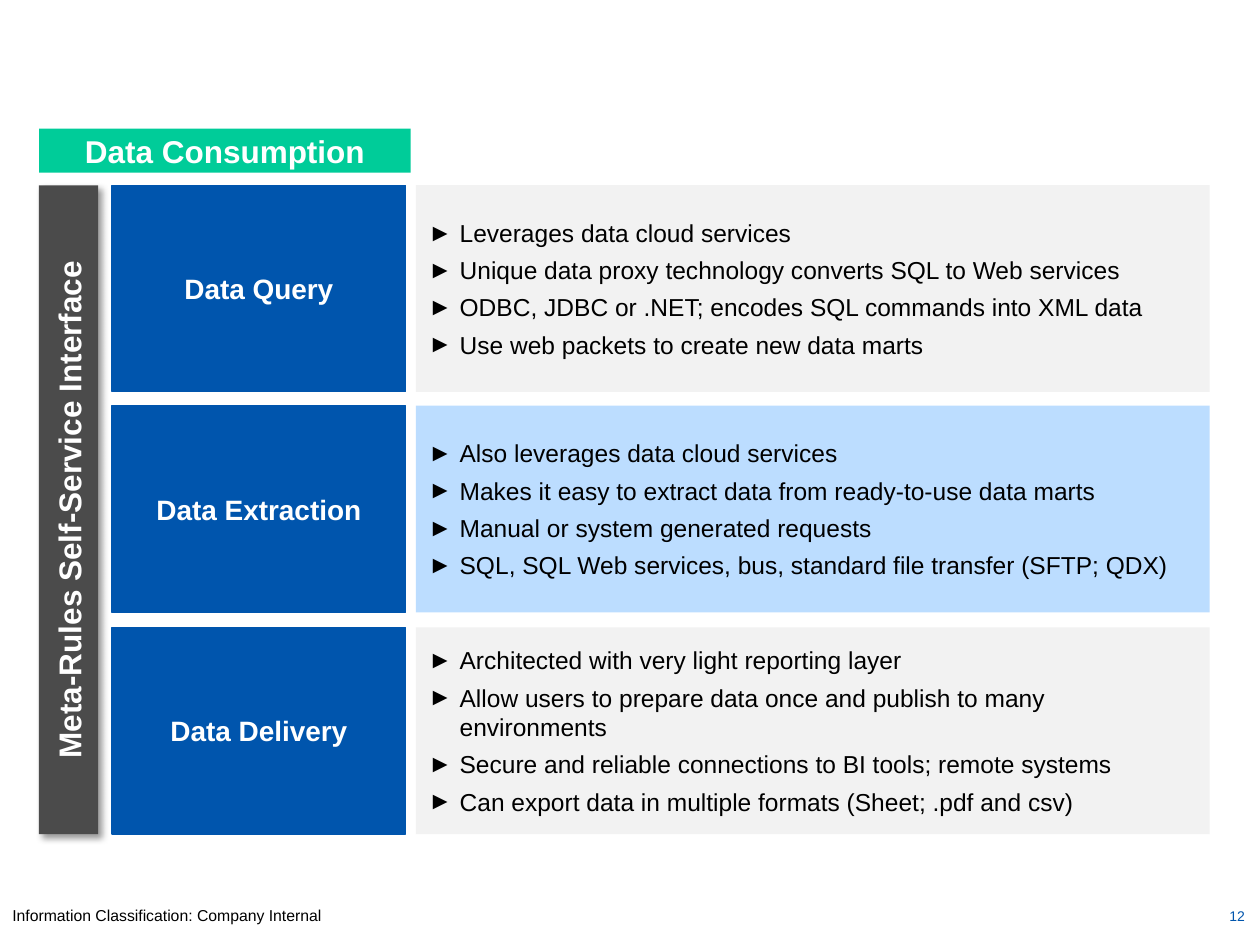
"""Build the Data Consumption slide: three labelled rows beside a rotated side bar."""
from dataclasses import dataclass
from typing import Optional

from lxml.etree import SubElement
from pptx import Presentation
from pptx.dml.color import RGBColor
from pptx.enum.shapes import MSO_SHAPE as Shape
from pptx.enum.text import MSO_ANCHOR as Anchor, PP_ALIGN as Align
from pptx.oxml.ns import qn
from pptx.util import Emu, Pt

EMU_PER_PX = 9144
COLORS = {
    "blue": "0055AD", "green": "00CC99", "charcoal": "4B4B4B",
    "grey": "F2F2F2", "sky": "BCDDFF", "white": "FFFFFF", "black": "000000",
}
ROW_TOP, ROW_SPAN, ROW_HEIGHT = 147, 351, 164


@dataclass
class Area:
    left: int
    top: int
    width: int
    height: int


@dataclass
class Style:
    size: int
    color: str
    bold: bool = False
    align: Align = Align.LEFT
    bullet: Optional[str] = None


@dataclass
class Row:
    label: str
    fill: str
    points: list[str]


HEADING = Style(18, "white", True, Align.CENTER)
LABEL = Style(16, "white", True, Align.CENTER)
POINT = Style(14, "black", bullet="►")
FOOTER = Style(9, "black")
NUMBER = Style(8, "blue", align=Align.RIGHT)

ROWS = [
    Row("Data Query", "grey", [
        "Leverages data cloud services",
        "Unique data proxy technology converts SQL to Web services",
        "ODBC, JDBC or .NET; encodes SQL commands into XML data",
        "Use web packets to create new data marts",
    ]),
    Row("Data Extraction", "sky", [
        "Also leverages data cloud services",
        "Makes it easy to extract data from ready-to-use data marts",
        "Manual or system generated requests",
        "SQL, SQL Web services, bus, standard file transfer (SFTP; QDX)",
    ]),
    Row("Data Delivery", "grey", [
        "Architected with very light reporting layer",
        "Allow users to prepare data once and publish to many environments",
        "Secure and reliable connections to BI tools; remote systems",
        "Can export data in multiple formats (Sheet; .pdf and csv)",
    ]),
]


def px(length: int) -> Emu:
    """Turn whole px into EMU."""
    return Emu(length * EMU_PER_PX)


def rgb(name: str) -> RGBColor:
    """Look up a named colour."""
    return RGBColor.from_string(COLORS[name])


def corners(area: Area) -> tuple[Emu, ...]:
    """Give left, top, width and height in EMU."""
    return tuple(px(n) for n in (area.left, area.top, area.width, area.height))


def apply(target, values: dict) -> None:
    """Set every attribute named in the format values."""
    for name, value in values.items():
        setattr(target, name, value)


def add_bullet(para, mark: str) -> None:
    """Give a paragraph a hanging bullet and space before it."""
    para.space_before = Pt(4.5)
    properties = para._p.get_or_add_pPr()
    properties.set("marL", str(px(25)))
    properties.set("indent", str(-px(25)))
    SubElement(properties, qn("a:buFont"), typeface="Arial")
    SubElement(properties, qn("a:buChar"), char=mark)


def write(frame, lines: list[str], style: Style) -> None:
    """Fill a text frame with one paragraph per line."""
    frame.word_wrap = True
    for index, line in enumerate(lines):
        para = frame.add_paragraph() if index else frame.paragraphs[0]
        para.alignment = style.align
        if style.bullet:
            add_bullet(para, style.bullet)
        span = para.add_run()
        span.text = line
        apply(span.font, {"name": "Arial", "size": Pt(style.size), "bold": style.bold})
        span.font.color.rgb = rgb(style.color)


def add_box(page, area: Area, fill: str, lines: list[str], style: Style):
    """Draw a filled rectangle with middle-anchored text."""
    box = page.shapes.add_shape(Shape.RECTANGLE, *corners(area))
    box.shadow.inherit = False
    box.fill.solid()
    box.fill.fore_color.rgb = rgb(fill)
    box.line.fill.background()
    box.text_frame.vertical_anchor = Anchor.MIDDLE
    write(box.text_frame, lines, style)
    return box


def add_label(page, area: Area, text: str) -> None:
    """Draw an outlined blue row label."""
    box = add_box(page, area, "blue", [text], LABEL)
    box.line.color.rgb = rgb("blue")
    box.line.width = Pt(0.75)
    sides = ("left", "top", "right", "bottom")
    apply(box.text_frame, {f"margin_{side}": px(5) for side in sides})


def add_shadow(box) -> None:
    """Cast a soft shadow down and to the right."""
    effects = box._element.spPr.find(qn("a:effectLst"))
    shadow = SubElement(effects, qn("a:outerShdw"), blurRad=str(Pt(4)), dist=str(Pt(3)),
                        dir="2700000", algn="tl", rotWithShape="0")
    color = SubElement(shadow, qn("a:srgbClr"), val=COLORS["black"])
    SubElement(color, qn("a:alpha"), val="40000")


def add_note(page, area: Area, text: str, style: Style) -> None:
    """Place plain text at the foot of the page."""
    box = page.shapes.add_textbox(*corners(area))
    write(box.text_frame, [text], style)


def main() -> None:
    """Build and save the deck."""
    deck = Presentation()
    apply(deck, {"slide_width": px(1000), "slide_height": px(750)})
    page = deck.slides.add_slide(deck.slide_layouts[6])

    add_note(page, Area(0, 714, 1000, 25), "Information Classification: Company Internal", FOOTER)
    add_note(page, Area(765, 715, 233, 25), "12", NUMBER)
    add_box(page, Area(31, 102, 295, 35), "green", ["Data Consumption"], HEADING)
    bar = add_box(page, Area(-203, 381, 515, 47), "charcoal",
                  ["Meta-Rules Self-Service Interface"], HEADING)
    bar.rotation = 270
    add_shadow(bar)

    for index, row in enumerate(ROWS):
        top = ROW_TOP + index * ROW_SPAN // 2
        add_label(page, Area(89, top, 233, ROW_HEIGHT), row.label)
        add_box(page, Area(330, top, 630, ROW_HEIGHT), row.fill, row.points, POINT)

    deck.save("out.pptx")


if __name__ == "__main__":
    main()
